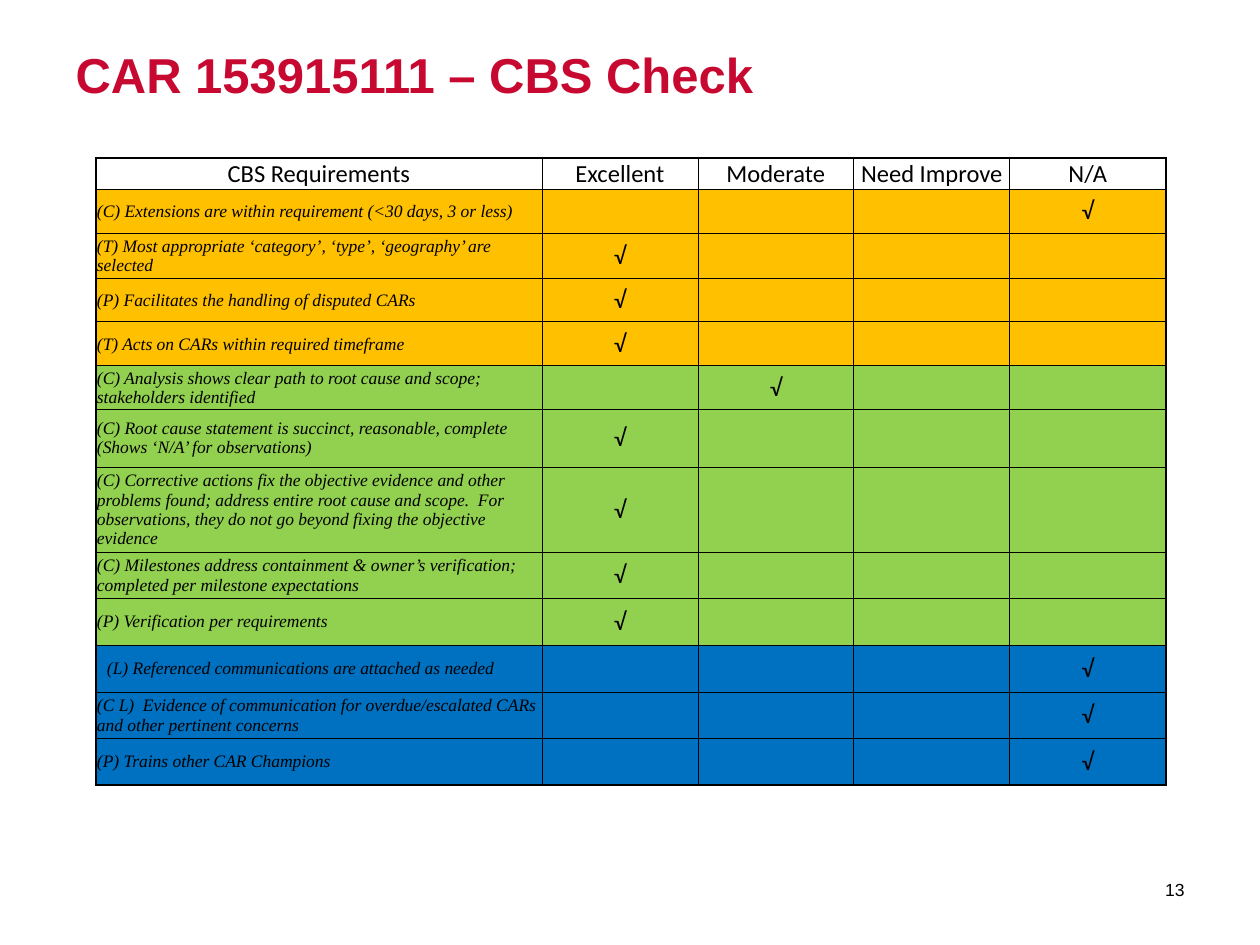
from lxml.etree import SubElement as Sub
from pptx import Presentation
from pptx.dml.color import RGBColor
from pptx.enum.text import MSO_ANCHOR as Anchor, PP_ALIGN as Align
from pptx.oxml.ns import qn
from pptx.util import Pt

SCALE = 914400 / 126  # EMU in one px
RED, BLACK = "C70932", "000000"
GOLD, GREEN, BLUE = "FFC000", "92D050", "0070C0"

HEADS = ["CBS Requirements", "Excellent", "Moderate", "Need Improve", "N/A"]
COLS = [446] + [156] * 4
HEAD_H = 31

# Requirement, column of the tick, fill, row height
CHECKS = [
    ("(C) Extensions are within requirement (<30 days, 3 or less)", 4, GOLD, 44),
    ("(T) Most appropriate ‘category’, ‘type’, ‘geography’ are selected", 1, GOLD, 45),
    ("(P) Facilitates the handling of disputed CARs", 1, GOLD, 44),
    ("(T) Acts on CARs within required timeframe", 1, GOLD, 44),
    ("(C) Analysis shows clear path to root cause and scope; "
     "stakeholders identified", 2, GREEN, 42),
    ("(C) Root cause statement is succinct, reasonable, complete "
     "(Shows ‘N/A’ for observations)", 1, GREEN, 58),
    ("(C) Corrective actions fix the objective evidence and other problems found; "
     "address entire root cause and scope.  For observations, they do not go "
     "beyond fixing the objective evidence", 1, GREEN, 79),
    ("(C) Milestones address containment & owner’s verification; "
     "completed per milestone expectations", 1, GREEN, 46),
    ("(P) Verification per requirements", 1, GREEN, 47),
    ("(L) Referenced communications are attached as needed", 4, BLUE, 47),
    ("(C L)  Evidence of communication for overdue/escalated CARs "
     "and other pertinent concerns", 4, BLUE, 46),
    ("(P) Trains other CAR Champions", 4, BLUE, 47),
]


def px(n):
    return round(n * SCALE)


def color(code):
    return RGBColor.from_string(code)


class Deck:
    def __init__(self, wide, high):
        self.prs = Presentation()
        self.prs.slide_width, self.prs.slide_height = px(wide), px(high)
        self.slide = self.prs.slides.add_slide(self.prs.slide_layouts[5])

    def text(self, frame, words, font, size, code=BLACK, align=Align.LEFT,
             bold=False, italic=False):
        frame.text = words
        para = frame.paragraphs[0]
        para.alignment = align
        for run in para.runs:
            face = run.font
            face.name, face.size = font, Pt(size)
            face.bold, face.italic = bold, italic
            face.color.rgb = color(code)

    def place(self, shape, x, y, w, h):
        shape.left, shape.top = px(x), px(y)
        shape.width, shape.height = px(w), px(h)

    def title(self, words, *box):
        shape = self.slide.shapes.title
        self.place(shape, *box)
        shape.text_frame.vertical_anchor = Anchor.TOP
        self.text(shape.text_frame, words, "Arial", 28, RED, bold=True)

    def label(self, words, *box):
        shape = self.slide.shapes.add_textbox(*map(px, box))
        frame = shape.text_frame
        frame.word_wrap = True
        frame.vertical_anchor = Anchor.MIDDLE
        self.text(frame, words, "Arial", 10, align=Align.RIGHT)

    def table(self, x, y, cols, rows):
        shape = self.slide.shapes.add_table(
            len(rows), len(cols), px(x), px(y), px(sum(cols)), px(sum(rows)))
        grid = shape.table
        grid.first_row = grid.horz_banding = False
        for col, w in zip(grid.columns, cols):
            col.width = px(w)
        for row, h in zip(grid.rows, rows):
            row.height = px(h)
        return grid

    def cell(self, grid, r, c, fill=None, anchor=Anchor.MIDDLE, inset=1):
        cell = grid.cell(r, c)
        cell.margin_left, cell.margin_right = px(inset), px(1)
        cell.margin_top, cell.margin_bottom = px(1), 0
        cell.vertical_anchor = anchor
        if fill:
            cell.fill.solid()
            cell.fill.fore_color.rgb = color(fill)
        else:
            cell.fill.background()
        # The outer edge is twice as heavy as the inner lines
        outer = {"L": c == 0, "R": c == len(grid.columns) - 1,
                 "T": r == 0, "B": r == len(grid.rows) - 1}
        self.border(cell, outer)
        return cell.text_frame

    def border(self, cell, outer):
        props = cell._tc.get_or_add_tcPr()
        for i, (side, edge) in enumerate(outer.items()):
            line = Sub(props, qn("a:ln" + side), w=str(Pt(1 if edge else 0.5)))
            Sub(Sub(line, qn("a:solidFill")), qn("a:srgbClr"), val=BLACK)
            props.insert(i, line)


def main():
    deck = Deck(1260, 945)
    deck.title("CAR 153915111 – CBS Check", 63, 38, 1134, 157)
    deck.label("13", 1109, 865, 88, 50)

    # Header row
    grid = deck.table(96, 158, COLS, [HEAD_H] + [row[-1] for row in CHECKS])
    for c, head in enumerate(HEADS):
        frame = deck.cell(grid, 0, c, anchor=Anchor.BOTTOM)
        deck.text(frame, head, "Calibri", 14, align=Align.CENTER)

    # Requirements with their ticks
    for r, (need, tick, fill, _) in enumerate(CHECKS, 1):
        inset = 11 if need.startswith("(L)") else 1
        frame = deck.cell(grid, r, 0, fill, inset=inset)
        deck.text(frame, need, "Times New Roman", 10, italic=True)
        for c in range(1, len(COLS)):
            frame = deck.cell(grid, r, c, fill)
            if c == tick:
                deck.text(frame, "√", "Calibri", 14, align=Align.CENTER)

    deck.prs.save("out.pptx")


if __name__ == "__main__":
    main()
